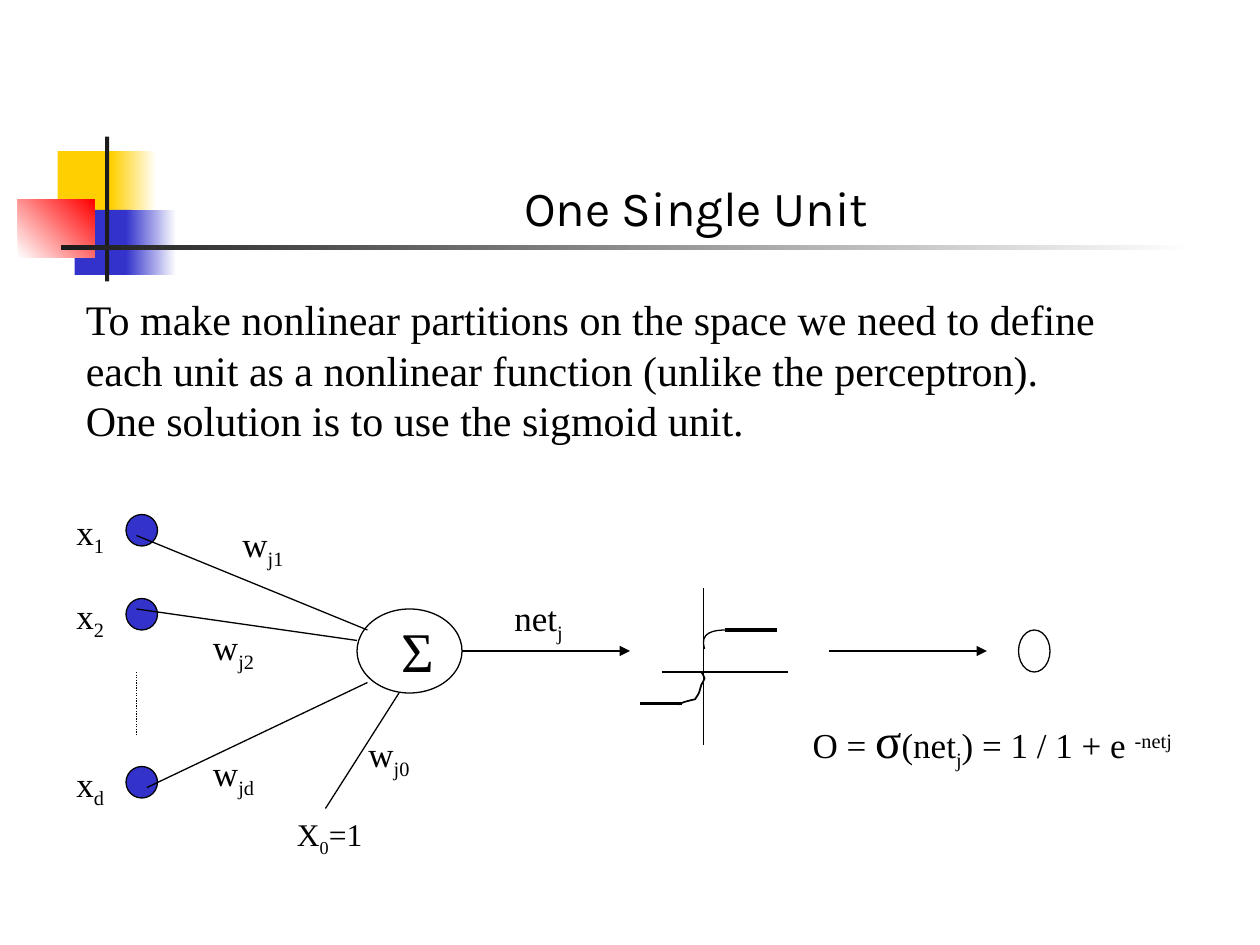
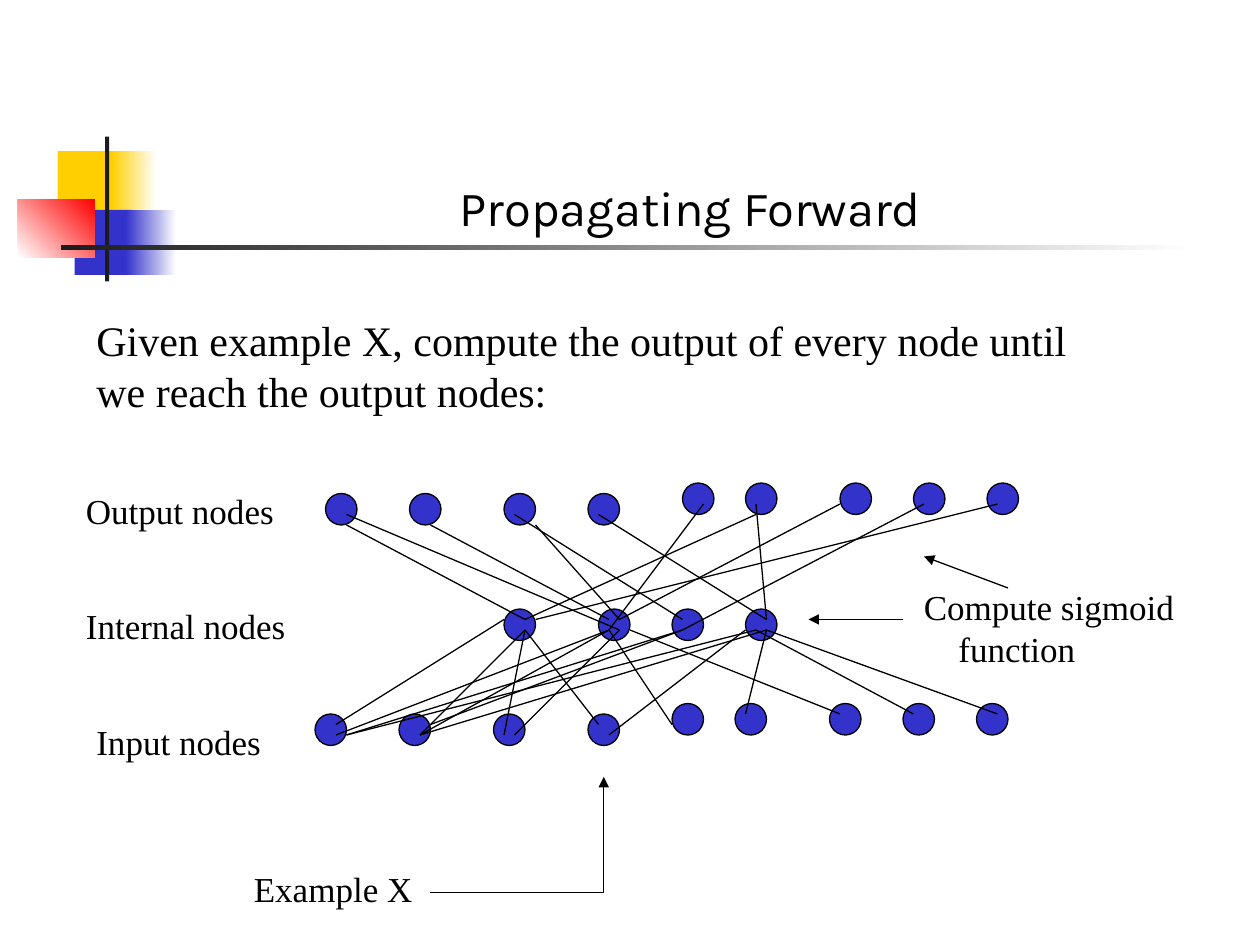
from dataclasses import dataclass

from lxml.etree import SubElement
from pptx import Presentation
from pptx.dml.color import RGBColor
from pptx.enum.dml import MSO_LINE
from pptx.enum.shapes import MSO_CONNECTOR, MSO_SHAPE
from pptx.enum.text import MSO_ANCHOR, PP_ALIGN
from pptx.oxml.ns import qn
from pptx.util import Emu, Pt

PX = 7620  # 120 px to the inch


@dataclass(frozen=True)
class Theme:
    ink: str = "000000"
    bar: str = "1C1C1C"
    paper: str = "FFFFFF"
    blue: str = "3333CC"
    yellow: str = "FFCF01"
    red: str = "FF0000"
    title_font: str = "Karla"
    body_font: str = "Times New Roman"
    title: int = 28
    body: int = 24
    label: int = 20
    small: int = 18
    sigma: int = 28
    sum: int = 32
    thin: float = 0.75
    curve: float = 1
    thick: float = 2.25
    subscript: int = -25000
    superscript: int = 30000


THEME = Theme()


# Drawing helpers
def px(*lengths):
    return [Emu(round(length * PX)) for length in lengths]


def color(code):
    return RGBColor.from_string(code)


def add_box(page, kind, box, fill=None, fade_to=None, angle=0, outlined=False):
    shape = page.shapes.add_shape(kind, *px(*box))
    shape.shadow.inherit = False
    if fade_to:
        shape.fill.gradient()
        shape.fill.gradient_angle = angle
        for stop, code in zip(shape.fill.gradient_stops, (fill, fade_to)):
            stop.color.rgb = color(code)
    elif fill:
        shape.fill.solid()
        shape.fill.fore_color.rgb = color(fill)
    else:
        shape.fill.background()
    if outlined:
        shape.line.color.rgb = color(THEME.ink)
        shape.line.width = Pt(THEME.thin)
    else:
        shape.line.fill.background()


def add_oval(page, left, top, width=30, height=30, fill=None):
    add_box(page, MSO_SHAPE.OVAL, (left, top, width, height), fill, outlined=True)


def add_line(page, start, end, width=THEME.thin, dotted=False, arrow=False, elbow=False):
    kind = MSO_CONNECTOR.ELBOW if elbow else MSO_CONNECTOR.STRAIGHT
    line = page.shapes.add_connector(kind, *px(*start, *end))
    line.line.color.rgb = color(THEME.ink)
    line.line.width = Pt(width)
    if dotted:
        line.line.dash_style = MSO_LINE.ROUND_DOT
    properties = line._element.spPr
    if elbow:
        properties.find(qn("a:prstGeom")).set("prst", "bentConnector2")
    if arrow:
        SubElement(properties.find(qn("a:ln")), qn("a:tailEnd"), type="triangle")
    SubElement(properties, qn("a:effectLst"))


def add_curve(page, left, top, start, segments, width):
    """Draw cubic segments, each given by two control points and an end."""
    points, begin = [], start
    for first, second, end in segments:
        for step in range(1, 9):
            t = step / 8
            weights = ((1 - t) ** 3, 3 * t * (1 - t) ** 2, 3 * t * t * (1 - t), t ** 3)
            corners = (begin, first, second, end)
            points.append([sum(w * c[axis] for w, c in zip(weights, corners))
                           for axis in (0, 1)])
        begin = end
    builder = page.shapes.build_freeform(*px(left + start[0], top + start[1]))
    builder.add_line_segments([px(left + x, top + y) for x, y in points], close=False)
    shape = builder.convert_to_shape()
    shape.shadow.inherit = False
    shape.fill.background()
    shape.line.color.rgb = color(THEME.ink)
    shape.line.width = Pt(width)


def add_text(page, box, *lines, size=THEME.label, font=THEME.body_font,
             anchor=MSO_ANCHOR.TOP, align=PP_ALIGN.LEFT, last_indent=0):
    """Each line is a string or a list of (text, baseline, size) spans."""
    frame = page.shapes.add_textbox(*px(*box)).text_frame
    frame.word_wrap = True
    frame.vertical_anchor = anchor
    for index, line in enumerate(lines):
        para = frame.paragraphs[0] if index == 0 else frame.add_paragraph()
        para.alignment = align
        para.font.size = Pt(size)
        para.font.name = font
        para.font.color.rgb = color(THEME.ink)
        for text, baseline, span_size in [(line, 0, None)] if isinstance(line, str) else line:
            span = para.add_run()
            span.text = text
            if baseline:
                span._r.get_or_add_rPr().set("baseline", str(baseline))
            if span_size:
                span.font.size = Pt(span_size)
    if last_indent:
        para._p.get_or_add_pPr().set("marL", str(last_indent * PX))


def indexed(name, index, rest=""):
    spans = [(name, 0, None), (index, THEME.subscript, None)]
    return spans + [(rest, 0, None)] if rest else spans


# Shared frame: coloured blocks, crossing bars and title
def add_frame(page, title):
    blocks = [
        ((55, 144, 58, 62), THEME.yellow, None, 0),
        ((106, 144, 43, 62), THEME.yellow, THEME.paper, 0),
        ((71, 200, 55, 62), THEME.blue, None, 0),
        ((120, 200, 48, 62), THEME.blue, THEME.paper, 0),
        ((17, 190, 73, 55), THEME.paper, THEME.red, 45),
        ((100, 130, 4, 138), THEME.bar, None, 0),
        ((58, 233, 1080, 5), THEME.bar, THEME.paper, 0),
    ]
    for box, fill, fade_to, angle in blocks:
        add_box(page, MSO_SHAPE.RECTANGLE, box, fill, fade_to, angle)
    add_text(page, (152, 81, 1022, 150), title, size=THEME.title, font=THEME.title_font,
             anchor=MSO_ANCHOR.BOTTOM, align=PP_ALIGN.CENTER)


# Weighted inputs feeding the summation
def add_weighted_sum(page, left, top):
    for index, y in (("1", 0), ("2", 80), ("d", 240)):
        add_oval(page, left + 60, top + y + 10, fill=THEME.blue)
        add_text(page, (left + 1, top + y, 60, 58), indexed("x", index))
    add_line(page, (left + 70, top + 160), (left + 70, top + 220), dotted=True)

    add_oval(page, left + 280, top + 100, 100, 80)
    add_text(page, (left + 311, top + 101, 65, 77), "Σ", size=THEME.sum)
    for x1, y1, x2, y2 in ((70, 30, 290, 120), (70, 100, 280, 130),
                           (80, 270, 290, 170), (250, 290, 320, 180)):
        add_line(page, (left + x1, top + y1), (left + x2, top + y2))
    for index, x, y in (("j0", 279, 212), ("j1", 159, 12),
                        ("j2", 131, 110), ("jd", 131, 230)):
        add_text(page, (left + x, top + y, 80, 58), indexed("w", index))
    add_text(page, (left + 211, top + 290, 100, 53), indexed("X", "0", "=1"),
             size=THEME.small)

    add_line(page, (left + 380, top + 140), (left + 540, top + 140), arrow=True)
    add_text(page, (left + 418, top + 82, 85, 58), indexed("net", "j"))


# Sigmoid plot
def add_sigmoid_plot(page, left, top):
    for x1, y1, x2, y2, width in ((20, 80, 140, 80, THEME.thin),
                                  (60, 0, 60, 150, THEME.thin),
                                  (0, 110, 40, 110, THEME.thick),
                                  (80, 40, 130, 40, THEME.thick)):
        add_line(page, (left + x1, top + y1), (left + x2, top + y2), width)
    lower = [((42, 108), (48, 107), (52, 106)), ((57, 98), (55, 102), (58, 92)),
             ((60, 89), (61, 86), (61, 86)), ((60, 83), (58, 80), (58, 80))]
    add_curve(page, left, top, (36, 111), lower, THEME.curve)
    add_curve(page, left, top, (61, 58), [((56, 42), (70, 40), (82, 40))], THEME.thin)


# Output of the unit with its formula
def add_unit_output(page, left, top):
    add_line(page, (left + 30, top + 20), (left + 180, top + 20), arrow=True)
    add_oval(page, left + 210, top, 30, 40)
    formula = [("O = ", 0, None), ("σ", 0, THEME.sigma),
               *indexed("(net", "j", ") = 1 / 1 + e "),
               ("-netj", THEME.superscript, None)]
    add_text(page, (left + 2, top + 70, 390, 71), formula)


# Layers of nodes and the links between them
def add_network(page, left, top):
    layers = {
        10: (10, 90, 180, 260), 0: (350, 410, 500, 570, 640),
        120: (180, 270, 340, 410),
        220: (0, 80, 170, 260), 210: (340, 400, 490, 560, 630),
    }
    for y, columns in layers.items():
        for x in columns:
            add_oval(page, left + x, top + y, fill=THEME.blue)
    # Each start point with the points it leads to
    links = {
        (20, 230): [(180, 130)],
        (20, 240): [(280, 140)],
        (30, 240): [(350, 140), (420, 140)],
        (100, 240): [(200, 140), (280, 140), (430, 140)],
        (110, 230): [(350, 140)],
        (180, 240): [(200, 140)],
        (190, 240): [(290, 140)],
        (270, 230): [(200, 140)],
        (280, 240): [(410, 140)],
        (340, 230): [(280, 140)],
        (500, 220): [(300, 140)],
        (570, 220): [(420, 140)],
        (650, 220): [(430, 140)],
        (410, 220): [(430, 140)],
        (200, 130): [(30, 40), (420, 30)],
        (210, 130): [(650, 20)],
        (280, 130): [(110, 40)],
        (280, 140): [(370, 20)],
        (290, 130): [(210, 40), (500, 20)],
        (350, 140): [(580, 20)],
        (430, 130): [(420, 20), (270, 30)],
        (350, 130): [(190, 30)],
        (30, 30): [(290, 140)],
    }
    for (x1, y1), ends in links.items():
        for x2, y2 in ends:
            add_line(page, (left + x1, top + y1), (left + x2, top + y2))


# Names of the layers and notes with arrows
def add_network_labels(page, left, top):
    for row, (name, indent) in enumerate((("Output nodes", 0), ("Internal nodes", 0),
                                          ("Input nodes", 10))):
        add_text(page, (left + indent, top + row * 110, 230, 53), name)
    add_text(page, (left + 160, top + 360, 190, 53), "Example X")
    add_line(page, (left + 340, top + 390), (left + 505, top + 280), arrow=True, elbow=True)
    add_text(page, (left + 798, top + 92, 290, 92), "Compute sigmoid", "function",
             last_indent=33)
    add_line(page, (left + 790, top + 130), (left + 700, top + 130), arrow=True)
    add_line(page, (left + 890, top + 100), (left + 810, top + 70), arrow=True)


def build_single_unit(page):
    add_frame(page, "One Single Unit")
    add_text(page, (70, 274, 1030, 156),
             "To make nonlinear partitions on the space we need to define",
             "each unit as a nonlinear function (unlike the perceptron).",
             "One solution is to use the sigmoid unit.", size=THEME.body)
    add_weighted_sum(page, 60, 480)
    add_sigmoid_plot(page, 610, 560)
    add_unit_output(page, 760, 600)


def build_propagation(page):
    add_frame(page, "Propagating Forward ")
    add_text(page, (80, 294, 1000, 156),
             "Given example X, compute the output of every node until",
             "we reach the output nodes:", size=THEME.body)
    add_network(page, 300, 460)
    add_network_labels(page, 70, 460)


def main():
    deck = Presentation()
    deck.slide_width, deck.slide_height = px(1200, 900)
    for build in (build_single_unit, build_propagation):
        build(deck.slides.add_slide(deck.slide_layouts[6]))
    deck.save("out.pptx")


if __name__ == "__main__":
    main()
